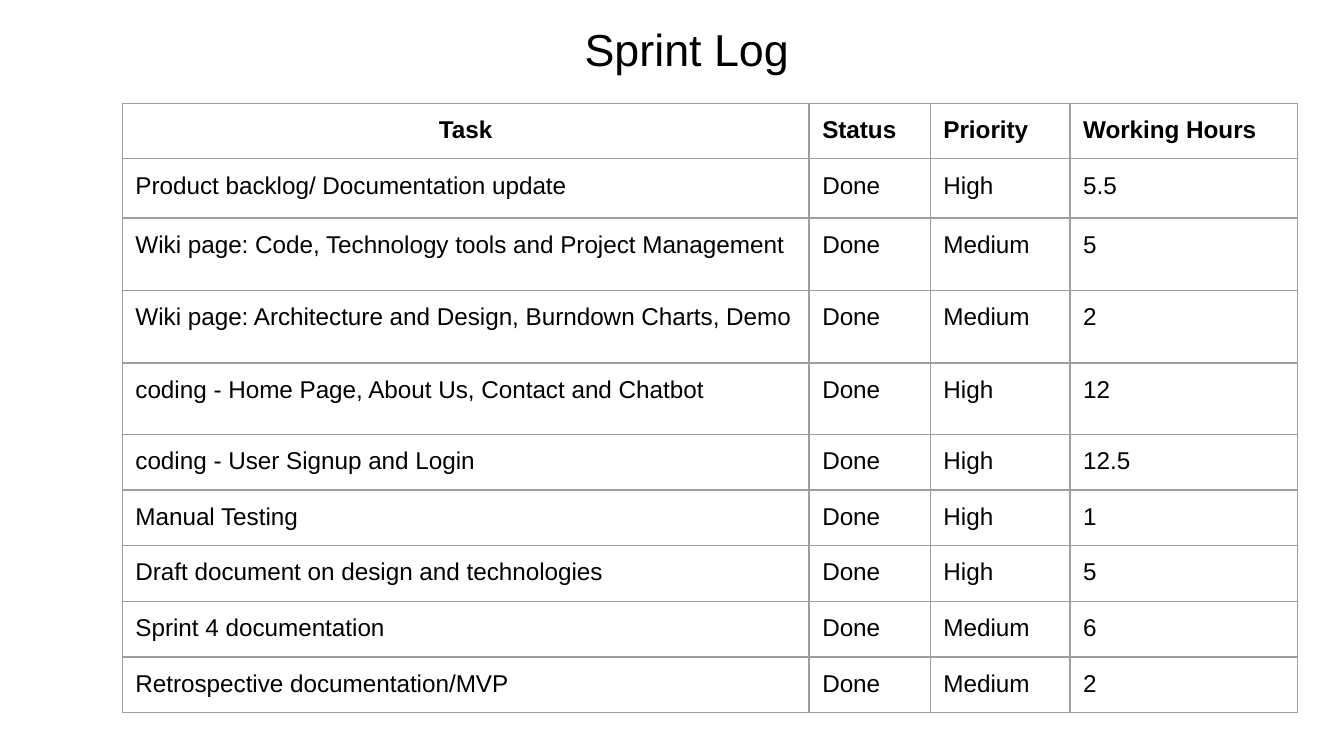
from dataclasses import dataclass

from lxml.etree import SubElement
from pptx import Presentation
from pptx.dml.color import RGBColor
from pptx.enum.text import MSO_ANCHOR, PP_ALIGN
from pptx.oxml.ns import qn
from pptx.util import Cm, Pt


@dataclass(frozen=True)
class Theme:
    font: str = "Arial"
    ink: str = "000000"
    rule: str = "9E9E9E"
    rule_width: float = 0.75
    title_size: int = 24
    body_size: int = 13
    inset: float = 0.25


class SlideBuilder:
    def __init__(self, slide, theme):
        self.slide = slide
        self.theme = theme

    def fill_text(self, frame, text, size, bold=False, centred=False):
        paragraph = frame.paragraphs[0]
        paragraph.text = text
        paragraph.alignment = PP_ALIGN.CENTER if centred else PP_ALIGN.LEFT
        font = paragraph.font
        font.name = self.theme.font
        font.size = Pt(size)
        font.bold = bold
        font.color.rgb = RGBColor.from_string(self.theme.ink)

    def pad(self, target):
        inset = Cm(self.theme.inset)
        target.margin_left = target.margin_right = inset
        target.margin_top = target.margin_bottom = inset

    def title(self, text, left, top, width, height):
        box = self.slide.shapes.add_textbox(Cm(left), Cm(top), Cm(width), Cm(height))
        frame = box.text_frame
        frame.word_wrap = True
        frame.vertical_anchor = MSO_ANCHOR.TOP
        self.pad(frame)
        frame.margin_top = Cm(0.32)
        self.fill_text(frame, text, self.theme.title_size, centred=True)

    def border(self, cell):
        properties = cell._tc.get_or_add_tcPr()
        for edge in ("a:lnL", "a:lnR", "a:lnT", "a:lnB"):
            line = SubElement(properties, qn(edge), w=str(Pt(self.theme.rule_width)))
            fill = SubElement(line, qn("a:solidFill"))
            SubElement(fill, qn("a:srgbClr"), val=self.theme.rule)

    def table(self, entries, left, top, widths, heights):
        table = self.slide.shapes.add_table(
            len(heights), len(widths), Cm(left), Cm(top), Cm(sum(widths)), Cm(sum(heights))
        ).table
        table.first_row = table.horz_banding = False
        for column, width in zip(table.columns, widths):
            column.width = Cm(width)
        for r, (height, entry) in enumerate(zip(heights, entries)):
            table.rows[r].height = Cm(height)
            for c, text in enumerate(entry):
                cell = table.cell(r, c)
                self.pad(cell)
                self.border(cell)
                cell.fill.background()
                cell.vertical_anchor = MSO_ANCHOR.TOP
                self.fill_text(cell.text_frame, text, self.theme.body_size,
                               bold=r == 0, centred=r == c == 0)


SPRINT_LOG = [
    ("Task", "Status", "Priority", "Working Hours"),
    ("Product backlog/ Documentation update", "Done", "High", "5.5"),
    ("Wiki page: Code, Technology tools and Project Management", "Done", "Medium", "5"),
    ("Wiki page: Architecture and Design, Burndown Charts, Demo", "Done", "Medium", "2"),
    ("coding - Home Page, About Us, Contact and Chatbot", "Done", "High", "12"),
    ("coding - User Signup and Login", "Done", "High", "12.5"),
    ("Manual Testing", "Done", "High", "1"),
    ("Draft document on design and technologies", "Done", "High", "5"),
    ("Sprint 4 documentation", "Done", "Medium", "6"),
    ("Retrospective documentation/MVP", "Done", "Medium", "2"),
]


def main():
    presentation = Presentation()
    presentation.slide_width = Cm(25.4)
    presentation.slide_height = Cm(14.29)
    slide = presentation.slides.add_slide(presentation.slide_layouts[6])
    builder = SlideBuilder(slide, Theme())
    builder.title("Sprint Log", 2.5, 0.1, 20.96, 1.02)
    builder.table(
        SPRINT_LOG, 2.31, 1.95,
        widths=[12.98, 2.29, 2.64, 4.3],
        heights=[0.91, 1.12, 1.37, 1.37, 1.35] + [0.91] * 5,
    )
    presentation.save("out.pptx")


if __name__ == "__main__":
    main()
